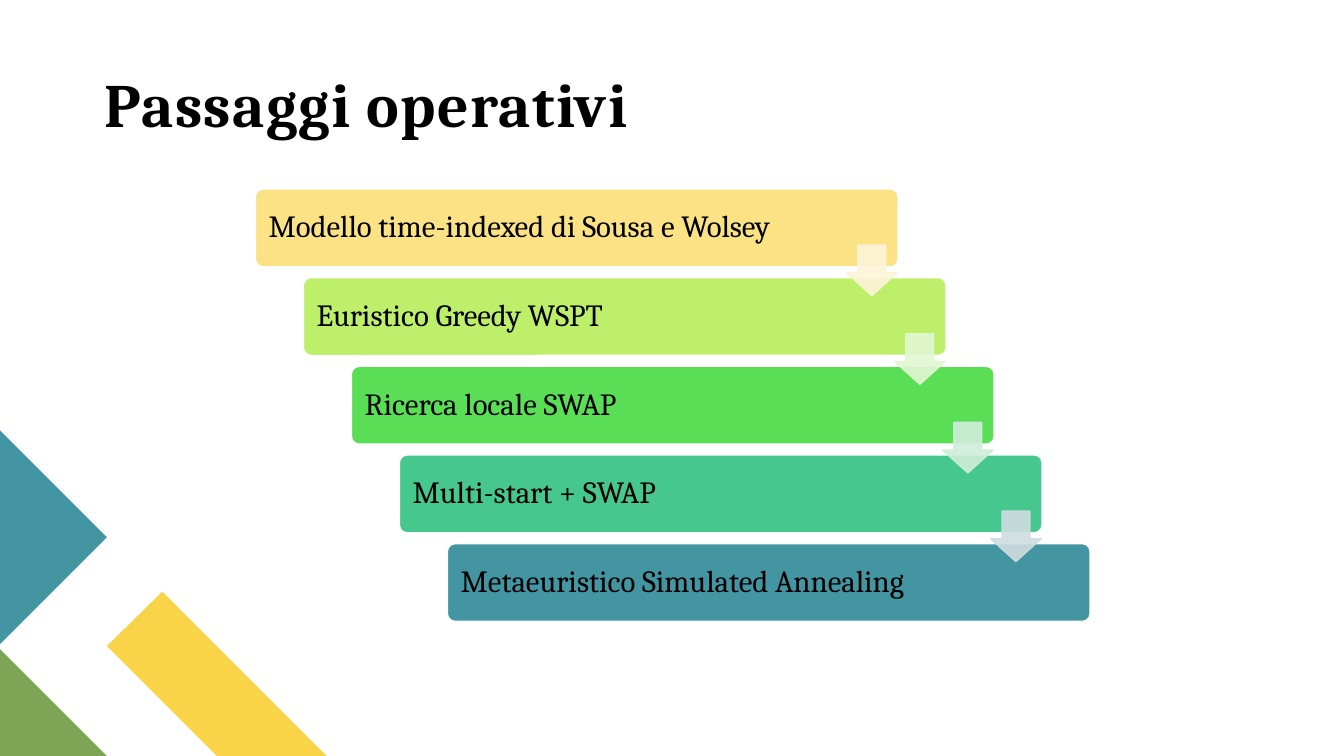
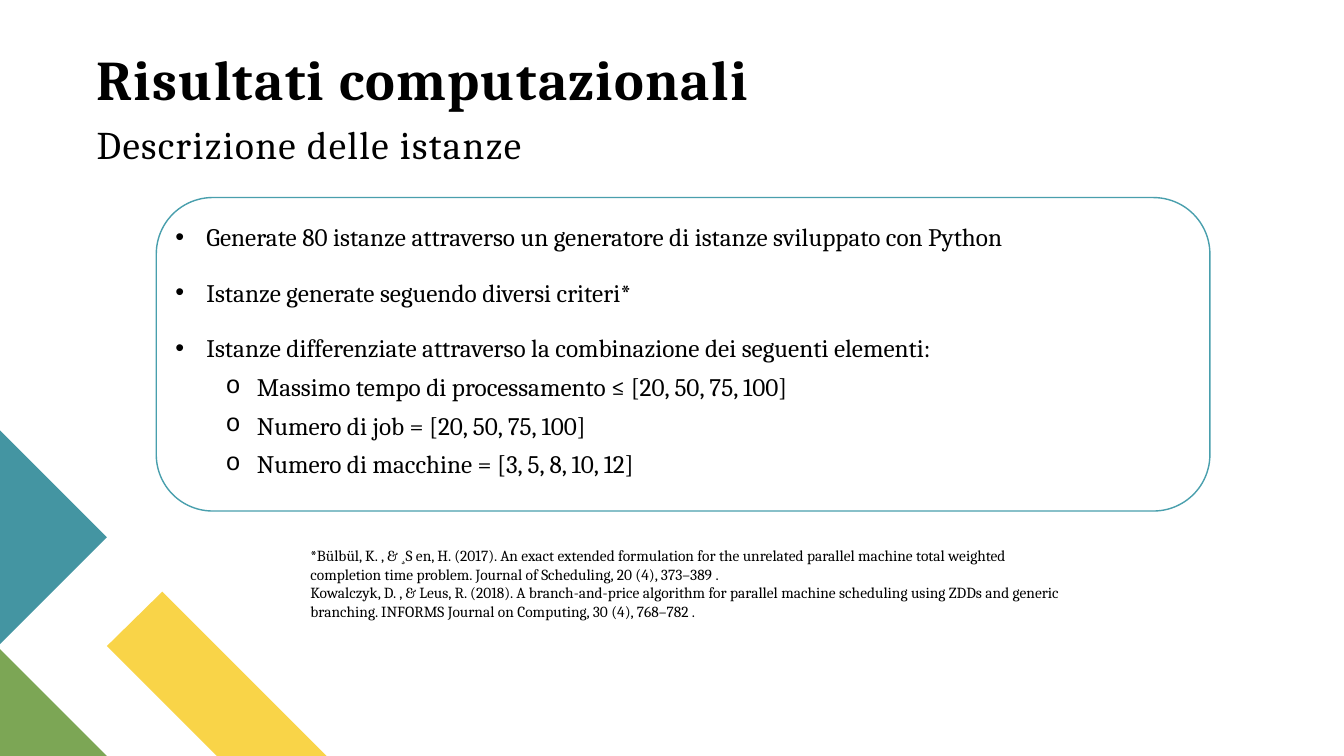
from collections import namedtuple
from dataclasses import dataclass

from lxml import etree
from pptx import Presentation
from pptx import util as u
from pptx.dml.color import RGBColor
from pptx.enum import shapes, text
from pptx.oxml import ns

Box = namedtuple("Box", "x y w h")


@dataclass(frozen=True)
class Theme:
    font: str = "Cambria"
    ink: str = "000000"
    white: str = "FFFFFF"
    yellow: str = "F9D448"
    green: str = "7CA655"
    teal: str = "4495A2"
    outline: str = "499FAD"
    bars: tuple = ("FBE284", "BDEF6A", "5ADE55", "45C78D", "4495A2")
    arrows: tuple = ("FDF4D9", "E2F7D2", "CFEDDA", "CFDDE0")
    arrow_opacity: int = 90
    title: int = 44
    title_small: int = 40
    subtitle: int = 28
    step: int = 22
    body: int = 18
    note: int = 11
    tracking: int = 1


T = Theme()
W, H = 13.33, 7.5

# Corner decoration: colour and corner points
CORNER = (
    (T.yellow, ((3.24, H), (2.15, H), (1.06, 6.41), (1.61, 5.87))),
    (T.green, ((1.06, H), (0, H), (0, 6.44))),
    (T.teal, ((0, 4.27), (1.06, 5.33), (0, 6.39))),
)


def inches(values):
    return [u.Inches(v) for v in values]


def paint(sp, fill=None, line=None):
    """Set fill and line of a shape; None means none."""
    sp.shadow.inherit = False
    for part, color in ((sp.fill, fill), (sp.line.fill, line)):
        if color:
            part.solid()
            part.fore_color.rgb = RGBColor.from_string(color)
        else:
            part.background()
    if line:
        sp.line.width = u.Pt(1)


def add_preset(s, kind, box, adjustments, fill=None, line=None):
    sp = s.shapes.add_shape(kind, *inches(box))
    for i, value in enumerate(adjustments):
        sp.adjustments[i] = value
    paint(sp, fill, line)
    return sp


def set_opacity(sp, percent):
    for clr in sp._element.spPr.iter(ns.qn("a:srgbClr")):
        etree.SubElement(clr, ns.qn("a:alpha"), val=str(percent * 1000))


def set_frame(tf, anchor, inset=None):
    tf.word_wrap = True
    tf.auto_size = text.MSO_AUTO_SIZE.NONE
    tf.vertical_anchor = anchor
    if inset is not None:
        tf.margin_left = tf.margin_right = u.Inches(inset)
        tf.margin_top = tf.margin_bottom = u.Inches(inset)


def write(p, words, size, bold=False, tracking=0, spacing=None):
    p.text = words
    p.alignment = text.PP_ALIGN.LEFT
    p.line_spacing = spacing
    for r in p.runs:
        r.font.name, r.font.size, r.font.bold = T.font, u.Pt(size), bold
        r.font.color.rgb = RGBColor.from_string(T.ink)
        if tracking:
            r._r.get_or_add_rPr().set("spc", str(tracking * 100))


def add_bullet(p, mark, face, left, hanging):
    pPr = p._p.get_or_add_pPr()
    pPr.set("marL", str(u.Inches(left)))
    pPr.set("indent", str(-u.Inches(hanging)))
    etree.SubElement(pPr, ns.qn("a:buFont"), typeface=face)
    etree.SubElement(pPr, ns.qn("a:buChar"), char=mark)


def add_corner(s):
    for color, points in CORNER:
        start, *rest = [inches(point) for point in points]
        outline = s.shapes.build_freeform(*start)
        outline.add_line_segments(rest, close=True)
        paint(outline.convert_to_shape(), color)


def place_heading(sp, box, words, size, bold):
    sp.left, sp.top, sp.width, sp.height = inches(box)
    set_frame(sp.text_frame, text.MSO_ANCHOR.BOTTOM, 0)
    write(sp.text_frame.paragraphs[0], words, size, bold, T.tracking, 0.9)


def new_slide(prs, title, box, size):
    s = prs.slides.add_slide(prs.slide_layouts[5])
    add_corner(s)
    place_heading(s.shapes.title, box, title, size, True)
    return s


def add_staircase(s, box, steps):
    """Descending bars, joined by arrows at their right ends."""
    bar_w, bar_h = 0.77 * box.w, 0.18 * box.h
    dx = (box.w - bar_w) / (len(steps) - 1)
    dy = (box.h - bar_h) / (len(steps) - 1)
    side = 0.65 * bar_h
    kinds = shapes.MSO_SHAPE
    for i, (words, color) in enumerate(zip(steps, T.bars)):
        bar = Box(box.x + i * dx, box.y + i * dy, bar_w, bar_h)
        sp = add_preset(s, kinds.ROUNDED_RECTANGLE, bar, [0.1], color, T.white)
        set_frame(sp.text_frame, text.MSO_ANCHOR.MIDDLE, 0.11)
        write(sp.text_frame.paragraphs[0], words, T.step, spacing=0.9)
    for i, color in enumerate(T.arrows):
        arrow = Box(box.x + i * dx + bar_w - side - 0.01,
                    box.y + i * dy + 0.72 * bar_h, side, side)
        sp = add_preset(s, kinds.DOWN_ARROW, arrow, [0.55, 0.45], color, color)
        set_opacity(sp, T.arrow_opacity)


def add_paragraphs(s, box, lines, size):
    tf = s.shapes.add_textbox(*inches(box)).text_frame
    set_frame(tf, text.MSO_ANCHOR.TOP)
    for i, words in enumerate(lines):
        p = tf.add_paragraph() if i else tf.paragraphs[0]
        write(p, words, size)
    return tf.paragraphs


def add_criteria(s, box, items):
    """Outlined panel with a two-level list of (level, space after, words)."""
    add_preset(s, shapes.MSO_SHAPE.ROUNDED_RECTANGLE, box, [0.18], line=T.outline)
    inner = Box(box.x + 0.09, box.y + 0.19, box.w - 0.09, 0.86 * box.h)
    paragraphs = add_paragraphs(s, inner, [words for *_, words in items], T.body)
    marks = (("•", "Arial"), ("o", "Courier New"))
    for p, (level, after, _) in zip(paragraphs, items):
        p.level = level
        p.space_after = u.Pt(after)
        add_bullet(p, *marks[level], 0.31 + 0.5 * level, 0.31)


def steps_slide(prs):
    s = new_slide(prs, "Passaggi operativi", Box(1.04, 0.73, 6.91, 0.67), T.title)
    add_staircase(s, Box(0.19 * W, 0.25 * H, 8.28, 4.29), (
        "Modello time-indexed di Sousa e Wolsey",
        "Euristico Greedy WSPT",
        "Ricerca locale SWAP",
        "Multi-start\u00a0+ SWAP",
        "Metaeuristico Simulated Annealing",
    ))


def results_slide(prs):
    head = Box(0.96, 0.45, 11.39, 0.67)
    s = new_slide(prs, "Risultati computazionali", head, T.title_small)
    # Subtitle directly under the title
    sub = Box(head.x, head.y + head.h, 7.06, 0.55)
    place_heading(s.shapes.add_textbox(0, 0, 0, 0), sub,
                  "Descrizione delle istanze", T.subtitle, False)
    # Criteria panel
    add_criteria(s, Box(1.55, 1.96, 10.45, 3.11), (
        (0, 18, "Generate 80 istanze attraverso un generatore di istanze "
                "sviluppato con Python"),
        (0, 18, "Istanze generate seguendo diversi criteri*"),
        (0, 6, "Istanze differenziate attraverso la combinazione dei "
               "seguenti elementi:"),
        (1, 6, "Massimo tempo di processamento ≤ [20, 50, 75, 100]"),
        (1, 6, "Numero di job = [20, 50, 75, 100]"),
        (1, 6, "Numero di macchine = [3, 5, 8, 10, 12]"),
    ))
    # References
    add_paragraphs(s, Box(2.98, 5.37, 7.68, 0.84), (
        "*Bülbül, K. , & ¸S en, H. (2017). An exact extended formulation for "
        "the unrelated parallel machine total weighted completion time "
        "problem. Journal of Scheduling, 20 (4), 373–389 .",
        "Kowalczyk, D. , & Leus, R. (2018). A branch-and-price algorithm for "
        "parallel machine scheduling using ZDDs and generic branching. "
        "INFORMS Journal on Computing, 30 (4), 768–782 .",
    ), T.note)


prs = Presentation()
prs.slide_width, prs.slide_height = inches((W, H))
steps_slide(prs)
results_slide(prs)
prs.save("out.pptx")
